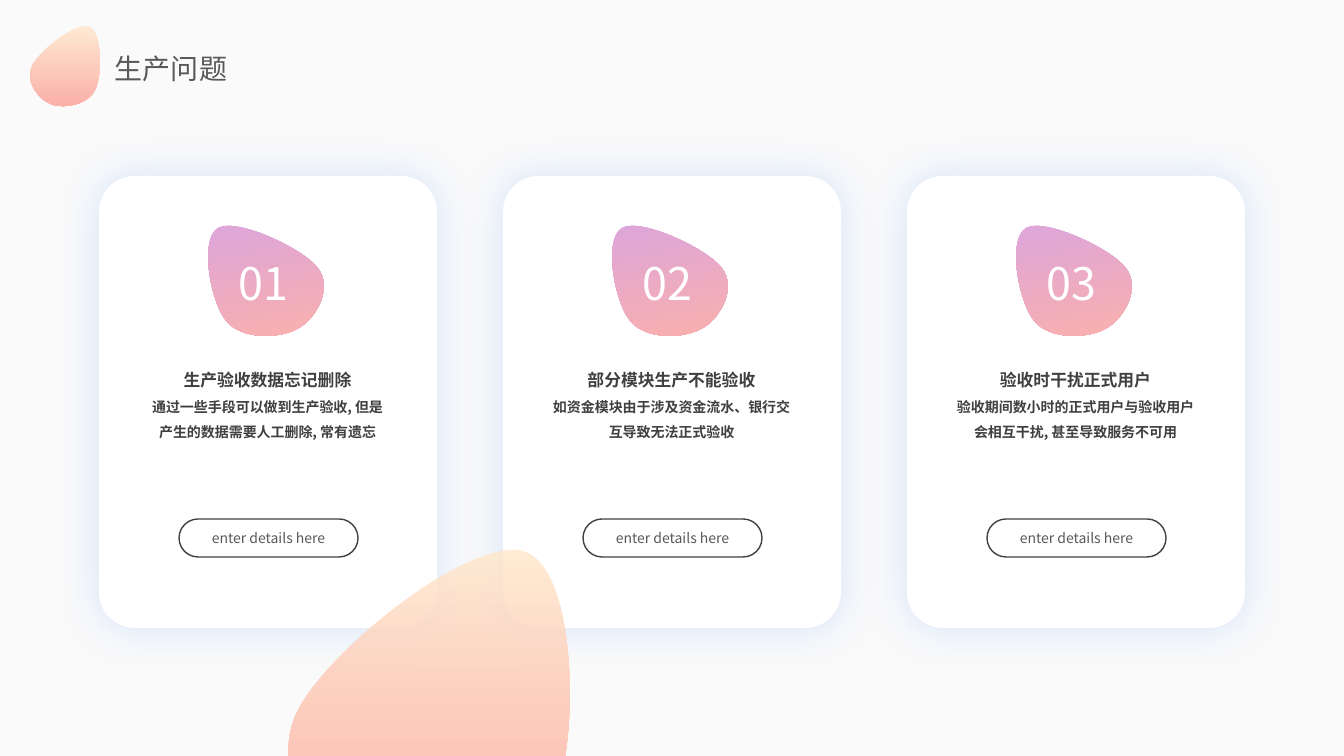
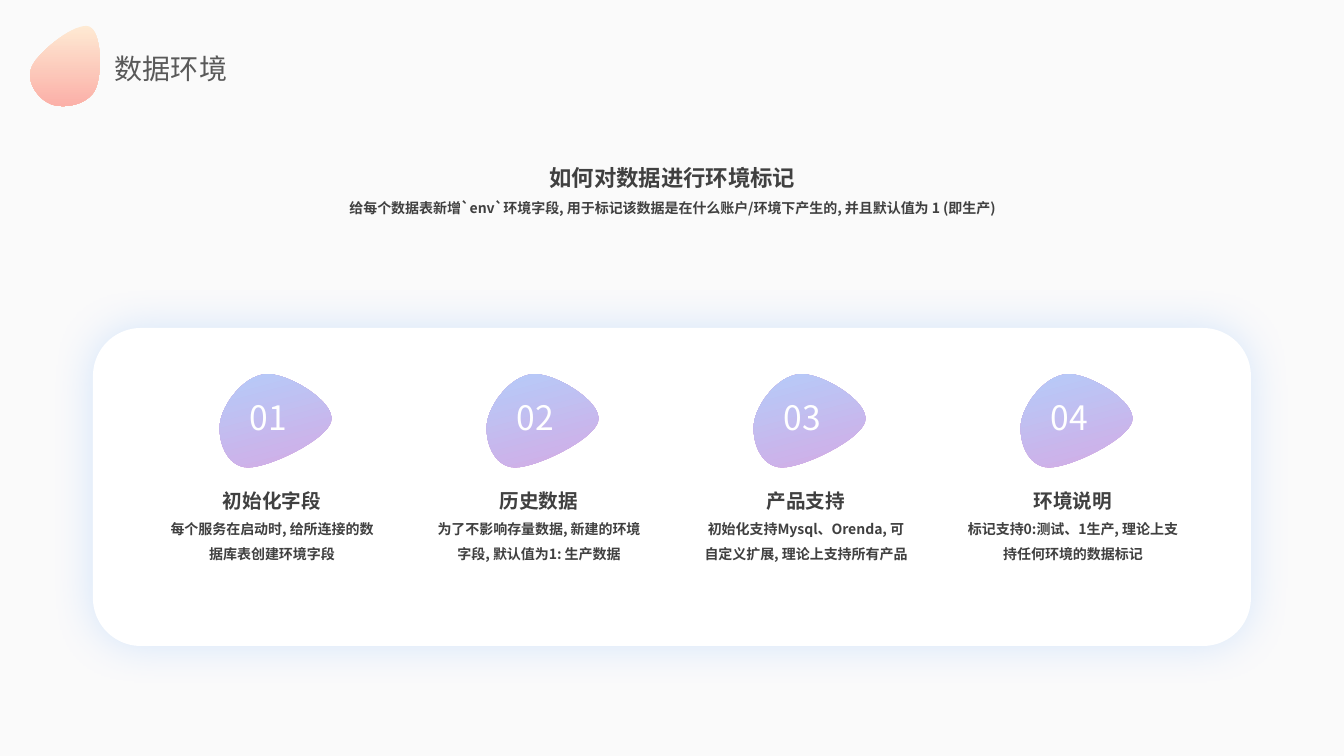
"""Builds two slides on production problems and data environments."""
from lxml import etree
from pptx import Presentation
from pptx.dml.color import RGBColor
from pptx.enum.shapes import MSO_SHAPE as SHAPE
from pptx.enum.text import MSO_ANCHOR as ANCHOR, MSO_AUTO_SIZE as AUTO, PP_ALIGN as ALIGN
from pptx.oxml.ns import qn
from pptx.util import Pt

EMU_PER_PX = 12192000 / 1344
FONT = "Noto Sans CJK SC"
COLORS = {
    "back": "FAFAFA", "card": "FFFFFF", "title": "595959", "text": "404040",
    "cream": "FFE6CA", "coral": "FC9E94", "orchid": "D18DD9", "sky": "9DC6FC",
}
PEBBLE = [
    (843, 6), (1025, 65), (1039, 599), (932, 795), (825, 988), (486, 1037), (304, 978),
    (125, 919), (-75, 696), (32, 500), (139, 307), (664, -53), (843, 6),
]
TITLES = ["生产问题", "数据环境"]
CARDS = [
    ("生产验收数据忘记删除", "通过一些手段可以做到生产验收, 但是产生的数据需要人工删除, 常有遗忘"),
    ("部分模块生产不能验收", "如资金模块由于涉及资金流水、银行交互导致无法正式验收"),
    ("验收时干扰正式用户", "验收期间数小时的正式用户与验收用户会相互干扰, 甚至导致服务不可用"),
]
STEPS = [
    ("初始化字段", "每个服务在启动时, 给所连接的数据库表创建环境字段"),
    ("历史数据", "为了不影响存量数据, 新建的环境字段, 默认值为1: 生产数据"),
    ("产品支持", "初始化支持Mysql、Orenda, 可自定义扩展, 理论上支持所有产品"),
    ("环境说明", "标记支持0:测试、1生产, 理论上支持任何环境的数据标记"),
]
HEADING = (
    "如何对数据进行环境标记",
    "给每个数据表新增`env`环境字段, 用于标记该数据是在什么账户/环境下产生的, 并且默认值为 1 (即生产)",
)

prs = Presentation()
prs.slide_width, prs.slide_height = (round(v * EMU_PER_PX) for v in (1344, 756))


def add_text(s, box, *lines, sizes, color="text", bold=False, align=ALIGN.LEFT,
             spacing=None, wrap=True, pill=False):
    """Add lines of text in a box, or in an outlined pill."""
    x, y, w, h = (round(v * EMU_PER_PX) for v in box)
    if pill:
        sp = s.shapes.add_shape(SHAPE.ROUNDED_RECTANGLE, x, y, w, h)
        sp.adjustments[0] = 0.5
        sp.shadow.inherit = False
        sp.fill.background()
        sp.line.color.rgb = RGBColor.from_string(COLORS["text"])
        sp.line.width = Pt(1)
    else:
        sp = s.shapes.add_textbox(x, y, w, h)
    tf = sp.text_frame
    tf.word_wrap = wrap
    tf.auto_size = AUTO.NONE if pill else AUTO.SHAPE_TO_FIT_TEXT
    tf.vertical_anchor = ANCHOR.MIDDLE if pill else ANCHOR.TOP
    for i, (line, size) in enumerate(zip(lines, sizes)):
        p = tf.add_paragraph() if i else tf.paragraphs[0]
        p.alignment = align
        p.line_spacing = spacing
        r = p.add_run()
        r.text = line
        r.font.size = Pt(size)
        r.font.bold = bold
        r.font.color.rgb = RGBColor.from_string(COLORS[color])
        r.font.name = FONT
        etree.SubElement(r.font._element, qn("a:ea"), typeface=FONT)


def add_pebble(s, box, colors, angle=90, rotation=0, flip=None):
    """Add a smooth pebble whose curves are in thousandths of its box."""
    builder = s.shapes.build_freeform(*PEBBLE[0])
    builder.add_line_segments(PEBBLE[1:])
    sp = builder.convert_to_shape()
    sp.left, sp.top, sp.width, sp.height = (round(v * EMU_PER_PX) for v in box)
    sp.rotation = rotation
    if flip:
        sp._element.spPr.find(qn("a:xfrm")).set(flip, "1")
    outline = next(sp._element.spPr.iter(qn("a:path")))
    outline.set("w", "1000")
    outline.set("h", "1000")
    for pt, (u, v) in zip(outline.iter(qn("a:pt")), PEBBLE):
        pt.set("x", str(u))
        pt.set("y", str(v))
    lines = outline.findall(qn("a:lnTo"))
    for i in range(0, len(lines), 3):
        curve = etree.Element(qn("a:cubicBezTo"))
        lines[i].addprevious(curve)
        for line in lines[i:i + 3]:
            curve.append(line[0])
            outline.remove(line)
    sp.shadow.inherit = False
    sp.line.fill.background()
    sp.fill.gradient()
    sp.fill.gradient_angle = 360 - angle
    for position, (stop, color) in enumerate(zip(sp.fill.gradient_stops, colors)):
        stop.position = position
        stop.color.rgb = RGBColor.from_string(COLORS[color])
    for clr in sp._element.spPr.iter(qn("a:srgbClr")):
        etree.SubElement(clr, qn("a:alpha"), val="80000")


slides = []
panels = [[(99 + 404 * i, 176, 338, 452) for i in range(len(CARDS))], [(93, 328, 1158, 318)]]
for title, boxes, radius in zip(TITLES, panels, (0.106, 0.151)):
    s = prs.slides.add_slide(prs.slide_layouts[6])
    slides.append(s)
    s.background.fill.solid()
    s.background.fill.fore_color.rgb = RGBColor.from_string(COLORS["back"])
    add_text(s, (105, 47, 164, 44), title, sizes=[20], color="title")
    add_pebble(s, (30, 26, 70, 80), ("cream", "coral"))
    for box in boxes:
        sp = s.shapes.add_shape(SHAPE.ROUNDED_RECTANGLE, *(round(v * EMU_PER_PX) for v in box))
        sp.adjustments[0] = radius
        sp.fill.solid()
        sp.fill.fore_color.rgb = RGBColor.from_string(COLORS["card"])
        sp.line.fill.background()
        sp.shadow.inherit = False
        glow = etree.SubElement(sp._element.spPr.find(qn("a:effectLst")), qn("a:outerShdw"),
                                blurRad=str(Pt(30)), dist="0", algn="ctr", rotWithShape="0")
        clr = etree.SubElement(glow, qn("a:srgbClr"), val=COLORS["sky"])
        etree.SubElement(clr, qn("a:alpha"), val="40000")

problems, environments = slides
body = {"bold": True, "align": ALIGN.CENTER, "spacing": 1.5}

for i, ((x, *_), card) in enumerate(zip(panels[0], CARDS), 1):
    add_text(problems, (x + 38, 355, 261, 92), *card, sizes=[12, 10], **body)
    add_text(problems, (x + 80, 519, 179, 38), "enter details here", sizes=[10], color="title",
             align=ALIGN.CENTER, pill=True)
    add_pebble(problems, (x + 112, 219, 111, 117), ("orchid", "coral"), rotation=349, flip="flipH")
    add_text(problems, (x + 130, 251, 79, 65), f"{i:02}", sizes=[32], color="card", wrap=False)
add_pebble(problems, (288, 550, 282, 325), ("cream", "coral"))

add_text(environments, (330, 146, 685, 77), *HEADING, sizes=[16, 10], **body)
for i, step in enumerate(STEPS):
    x = 157 + 267 * i
    add_pebble(environments, (x + 64, 377, 101, 99), ("orchid", "sky"), angle=45, rotation=300,
               flip="flipV")
    add_text(environments, (x, 472, 230, 97), *step, sizes=[14, 10], **body)
    add_text(environments, (x + 83, 392, 65, 50), f"{i + 1:02}", sizes=[24], color="card", wrap=False)

prs.save("out.pptx")
